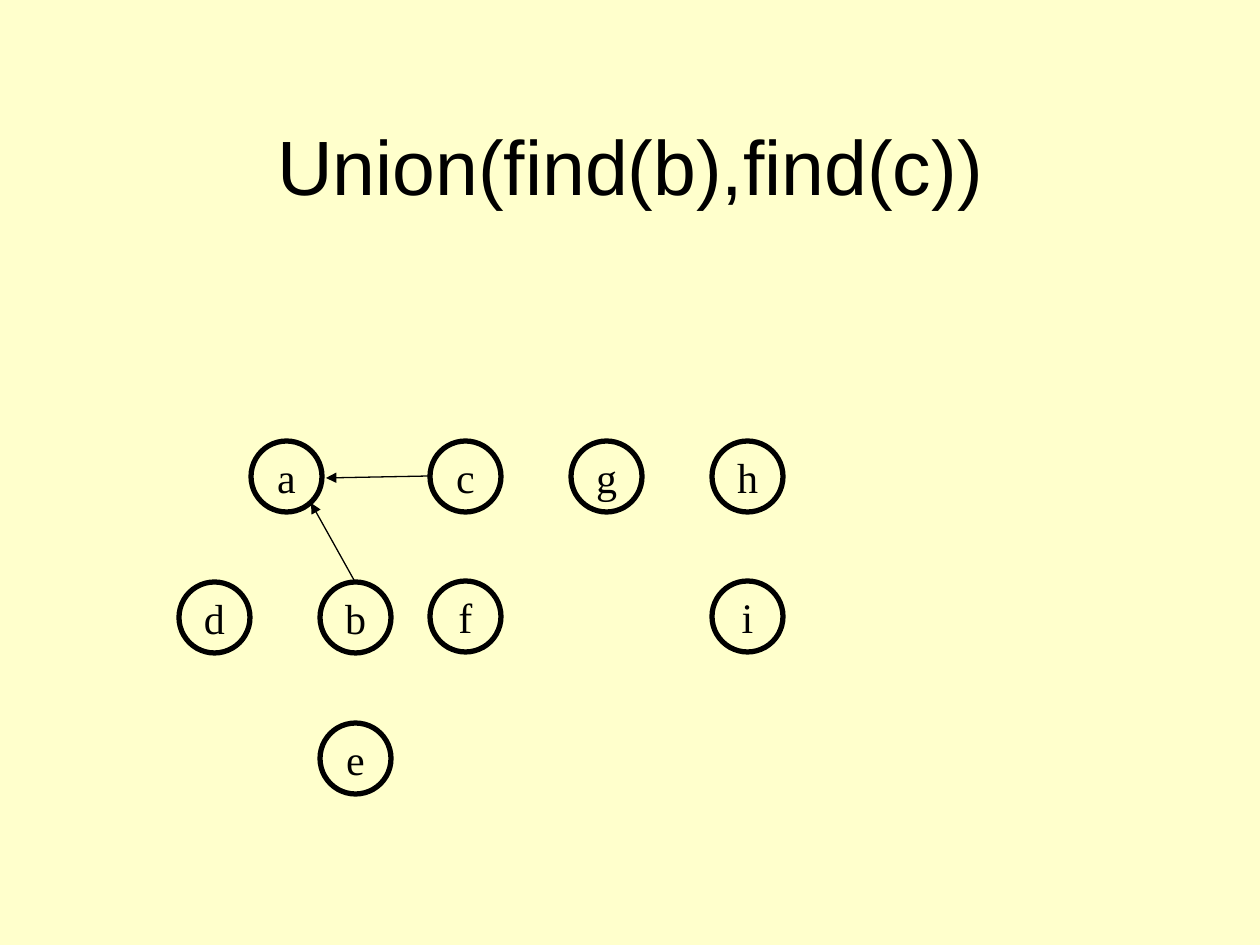
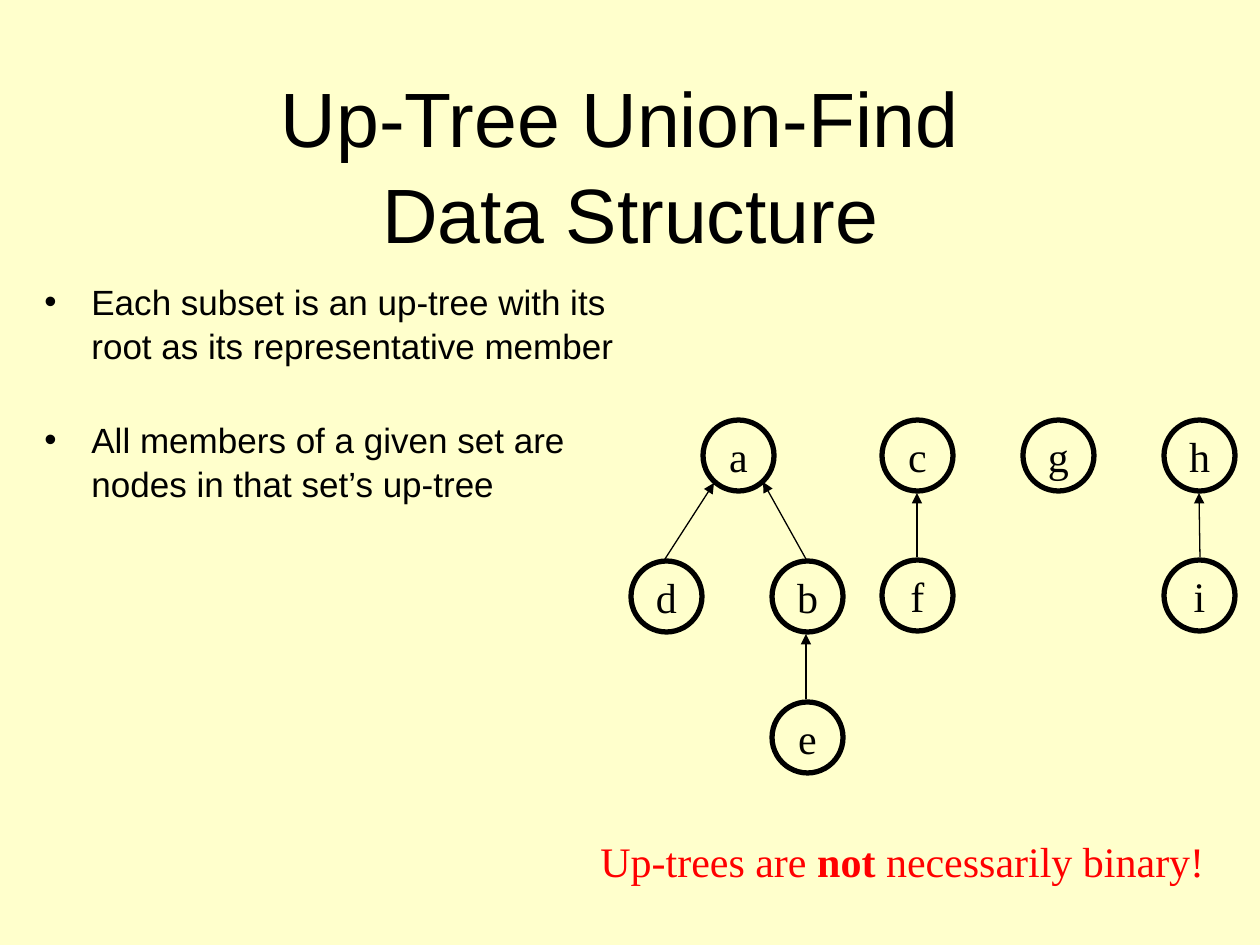
from dataclasses import dataclass
from typing import Any

from lxml.etree import SubElement
from pptx import Presentation
from pptx.dml.color import RGBColor
from pptx.enum.shapes import MSO_CONNECTOR, MSO_SHAPE
from pptx.enum.text import MSO_ANCHOR, MSO_AUTO_SIZE, PP_ALIGN
from pptx.oxml.ns import qn
from pptx.util import Emu, Pt

PIXELS_PER_INCH = 126
SLIDE_WIDTH, SLIDE_HEIGHT = 1260, 945
NODE_SIZE = 71
BULLET_INDENT = 47

COLOURS = {"background": "FFFFCC", "ink": "000000", "warning": "FF0000"}

TITLE_FONT = {"name": "Arial", "size": Pt(44)}
BODY_FONT = {"name": "Arial", "size": Pt(20)}
NODE_FONT = {"name": "Times New Roman", "size": Pt(24)}
STRONG_FONT = {**NODE_FONT, "bold": True}

TITLE_FRAME = {"word_wrap": True, "vertical_anchor": MSO_ANCHOR.MIDDLE}
BODY_FRAME = {"word_wrap": True, "vertical_anchor": MSO_ANCHOR.TOP}
NODE_FRAME = {"word_wrap": False, "vertical_anchor": MSO_ANCHOR.MIDDLE}
REMARK_FRAME = {"word_wrap": False, "auto_size": MSO_AUTO_SIZE.SHAPE_TO_FIT_TEXT}

TITLE_PARAGRAPH = {"alignment": PP_ALIGN.CENTER, "line_spacing": 1.04}
BODY_PARAGRAPH = {"alignment": PP_ALIGN.LEFT, "line_spacing": 1.04}
NODE_PARAGRAPH = {"alignment": PP_ALIGN.CENTER}


@dataclass(frozen=True)
class Box:
    left: int
    top: int
    width: int
    height: int


@dataclass(frozen=True)
class Node:
    label: str
    x: int
    y: int


@dataclass(frozen=True)
class Arrow:
    start: tuple[int, int]
    end: tuple[int, int]


TITLE_BOX = Box(95, 84, 1071, 158)
BODY_BOX = Box(32, 273, 599, 567)
REMARK_BOX = Box(588, 829, 629, 63)

FOREST = [
    Node("a", 0, 0),
    Node("c", 179, 0),
    Node("g", 320, 0),
    Node("h", 461, 0),
    Node("d", -72, 141),
    Node("b", 69, 141),
    Node("e", 69, 282),
    Node("f", 179, 140),
    Node("i", 461, 140),
]

B_TO_A = Arrow((103, 139), (60, 62))
C_TO_A = Arrow((179, 35), (75, 37))
D_TO_A = Arrow((-38, 139), (11, 63))
E_TO_B = Arrow((103, 279), (103, 214))
F_TO_C = Arrow((214, 137), (214, 73))
I_TO_H = Arrow((497, 137), (496, 73))

BULLETS = [
    ("Each subset is an up-tree with its root as its representative member", 5),
    ("All members of a given set are nodes in that set’s up-tree", 29),
]
REMARK = [
    ("Up-trees are ", NODE_FONT),
    ("not", STRONG_FONT),
    (" necessarily binary!", NODE_FONT),
]


def px(length: int) -> Emu:
    return Emu(round(length * 914400 / PIXELS_PER_INCH))


def edges(box: Box) -> list[Emu]:
    return [px(box.left), px(box.top), px(box.width), px(box.height)]


def colour(name: str) -> RGBColor:
    return RGBColor.from_string(COLOURS[name])


def apply(target: Any, values: dict[str, Any]) -> None:
    for name, value in values.items():
        setattr(target, name, value)


def add_run(paragraph: Any, text: str, font: dict[str, Any], ink: str = "ink") -> None:
    run = paragraph.add_run()
    run.text = text
    apply(run.font, font)
    run.font.color.rgb = colour(ink)


def add_text_box(slide: Any, box: Box, frame_format: dict[str, Any]) -> Any:
    frame = slide.shapes.add_textbox(*edges(box)).text_frame
    apply(frame, frame_format)
    return frame


def add_title(slide: Any, lines: list[str]) -> None:
    paragraph = add_text_box(slide, TITLE_BOX, TITLE_FRAME).paragraphs[0]
    apply(paragraph, TITLE_PARAGRAPH)
    for index, line in enumerate(lines):
        if index:
            paragraph.add_line_break()
        add_run(paragraph, line, TITLE_FONT)


def add_bullets(slide: Any, bullets: list[tuple[str, int]]) -> None:
    frame = add_text_box(slide, BODY_BOX, BODY_FRAME)
    for index, (text, space) in enumerate(bullets):
        paragraph = frame.add_paragraph() if index else frame.paragraphs[0]
        apply(paragraph, {**BODY_PARAGRAPH, "space_before": Pt(space)})
        properties = paragraph._p.get_or_add_pPr()
        properties.set("marL", str(px(BULLET_INDENT)))
        properties.set("indent", str(-px(BULLET_INDENT)))
        SubElement(properties, qn("a:buFont"), typeface="Arial")
        SubElement(properties, qn("a:buChar"), char="•")
        add_run(paragraph, text, BODY_FONT)


def add_remark(slide: Any, parts: list[tuple[str, dict[str, Any]]]) -> None:
    paragraph = add_text_box(slide, REMARK_BOX, REMARK_FRAME).paragraphs[0]
    for text, font in parts:
        add_run(paragraph, text, font, "warning")


def add_node(slide: Any, node: Node, root: tuple[int, int]) -> None:
    box = Box(root[0] + node.x, root[1] + node.y, NODE_SIZE, NODE_SIZE)
    shape = slide.shapes.add_shape(MSO_SHAPE.OVAL, *edges(box))
    shape.shadow.inherit = False
    shape.fill.background()
    shape.line.color.rgb = colour("ink")
    shape.line.width = Pt(3)
    apply(shape.text_frame, NODE_FRAME)
    paragraph = shape.text_frame.paragraphs[0]
    apply(paragraph, NODE_PARAGRAPH)
    add_run(paragraph, node.label, NODE_FONT)


def add_arrow(slide: Any, arrow: Arrow, root: tuple[int, int]) -> None:
    points = [px(root[axis] + point[axis]) for point in (arrow.start, arrow.end) for axis in (0, 1)]
    connector = slide.shapes.add_connector(MSO_CONNECTOR.STRAIGHT, *points)
    connector.line.color.rgb = colour("ink")
    connector.line.width = Pt(0.75)
    SubElement(connector.line._get_or_add_ln(), qn("a:tailEnd"), type="triangle")
    SubElement(connector._element.spPr, qn("a:effectLst"))


def add_forest(slide: Any, root: tuple[int, int], arrows: list[Arrow]) -> None:
    for node in FOREST:
        add_node(slide, node, root)
    for arrow in arrows:
        add_arrow(slide, arrow, root)


def add_slide(presentation: Any, title: list[str]) -> Any:
    slide = presentation.slides.add_slide(presentation.slide_layouts[6])
    add_title(slide, title)
    return slide


def main() -> None:
    presentation = Presentation()
    apply(presentation, {"slide_width": px(SLIDE_WIDTH), "slide_height": px(SLIDE_HEIGHT)})
    background = presentation.slide_master.background.fill
    background.solid()
    background.fore_color.rgb = colour("background")

    union_slide = add_slide(presentation, ["Union(find(b),find(c))"])
    add_forest(union_slide, (251, 441), [B_TO_A, C_TO_A])

    structure_slide = add_slide(presentation, ["Up-Tree Union-Find ", "Data Structure"])
    add_bullets(structure_slide, BULLETS)
    add_forest(structure_slide, (703, 420), [D_TO_A, B_TO_A, E_TO_B, F_TO_C, I_TO_H])
    add_remark(structure_slide, REMARK)

    presentation.save("out.pptx")


if __name__ == "__main__":
    main()
